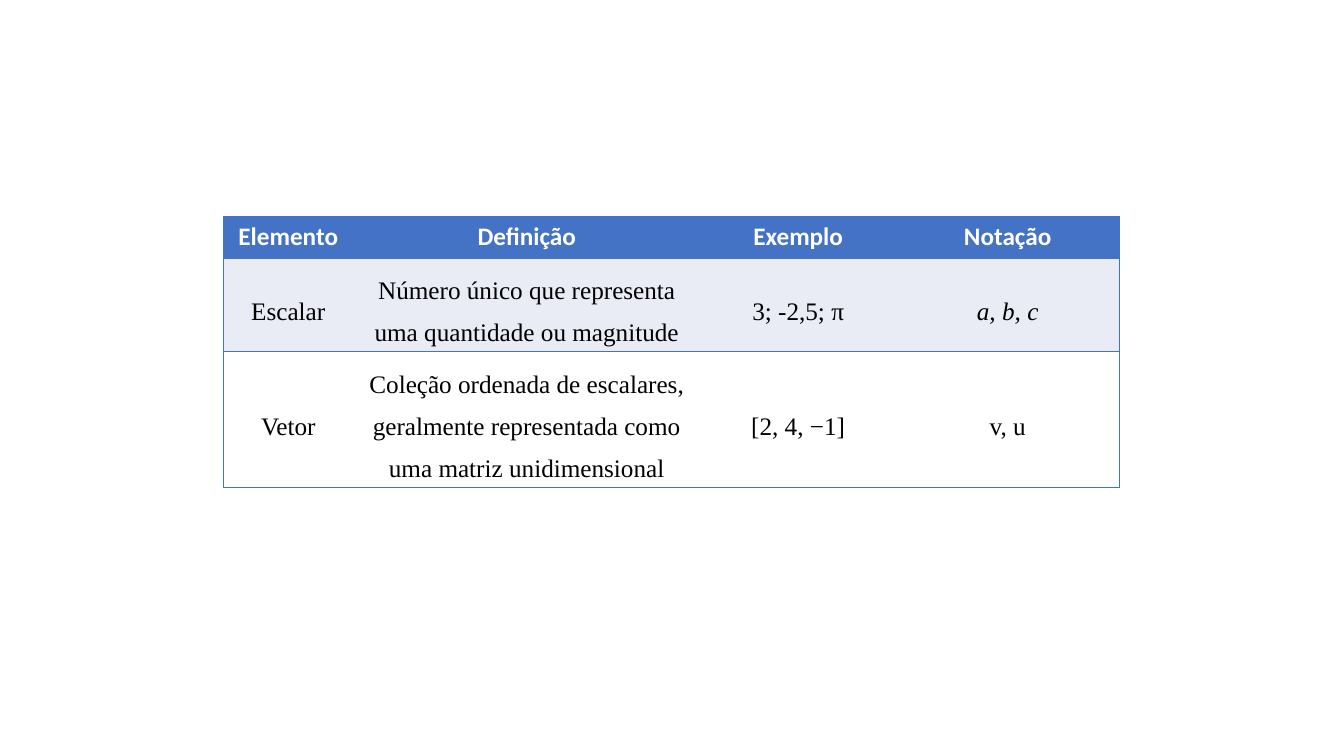
from lxml import etree
from pptx import Presentation
from pptx import util as u
from pptx.dml.color import RGBColor
from pptx.enum import text
from pptx.oxml.ns import qn

BLUE = RGBColor(0x44, 0x72, 0xC4)
BAND = RGBColor(0xE9, 0xEB, 0xF5)
WHITE = RGBColor(0xFF, 0xFF, 0xFF)
BLACK = RGBColor(0, 0, 0)

COL_WIDTHS = [3.25, 8.77, 4.91, 5.65]
ROW_HEIGHTS = [1.04, 2.34, 3.43]
ROWS = [
    ["Elemento", "Definição", "Exemplo", "Notação"],
    ["Escalar", "Número único que representa uma quantidade ou magnitude",
     "3; -2,5; π", "a, b, c"],
    ["Vetor", "Coleção ordenada de escalares, geralmente representada como "
     "uma matriz unidimensional", "[2, 4, −1]", "v, u"],
]
FILLS = [BLUE, BAND, WHITE]
HEAD_FONT = {"name": "Calibri", "size": u.Pt(18), "bold": True}
BODY_FONT = {"name": "Times New Roman", "size": u.Pt(18), "bold": False}


def set_attrs(obj, values):
    for name, value in values.items():
        setattr(obj, name, value)


def add_border(cell, side, visible):
    ln = etree.SubElement(cell._tc.get_or_add_tcPr(), qn("a:ln" + side),
                          w=str(u.Pt(1)))
    if visible:
        fill = etree.SubElement(ln, qn("a:solidFill"))
        etree.SubElement(fill, qn("a:srgbClr"), val=str(BLUE))
    else:
        etree.SubElement(ln, qn("a:noFill"))


def fill_cell(cell, content, fill, is_head):
    cell.fill.solid()
    cell.fill.fore_color.rgb = fill
    p = cell.text_frame.paragraphs[0]
    p.alignment = text.PP_ALIGN.CENTER
    if not is_head:
        cell.vertical_anchor = text.MSO_ANCHOR.MIDDLE
        p.line_spacing = 1.5
    r = p.add_run()
    r.text = content
    set_attrs(r.font, HEAD_FONT if is_head else BODY_FONT)
    r.font.italic = content == "a, b, c"
    r.font.color.rgb = WHITE if is_head else BLACK


def add_elements_table(s):
    table = s.shapes.add_table(
        len(ROWS), len(COL_WIDTHS), u.Cm(5.64), u.Cm(5.46),
        u.Cm(sum(COL_WIDTHS)), u.Cm(sum(ROW_HEIGHTS))).table
    set_attrs(table, {"first_row": False, "horz_banding": False})
    for col, width in zip(table.columns, COL_WIDTHS):
        col.width = u.Cm(width)
    for row, height in zip(table.rows, ROW_HEIGHTS):
        row.height = u.Cm(height)
    last = len(COL_WIDTHS) - 1
    for i, row in enumerate(ROWS):
        for j, content in enumerate(row):
            cell = table.cell(i, j)
            for side, visible in (("L", j == 0), ("R", j == last),
                                  ("T", True), ("B", True)):
                add_border(cell, side, visible)
            fill_cell(cell, content, FILLS[i], i == 0)


def main():
    prs = Presentation()
    set_attrs(prs, {"slide_width": u.Cm(33.87), "slide_height": u.Cm(19.05)})
    s = prs.slides.add_slide(prs.slide_layouts[6])
    add_elements_table(s)
    prs.save("out.pptx")


if __name__ == "__main__":
    main()
